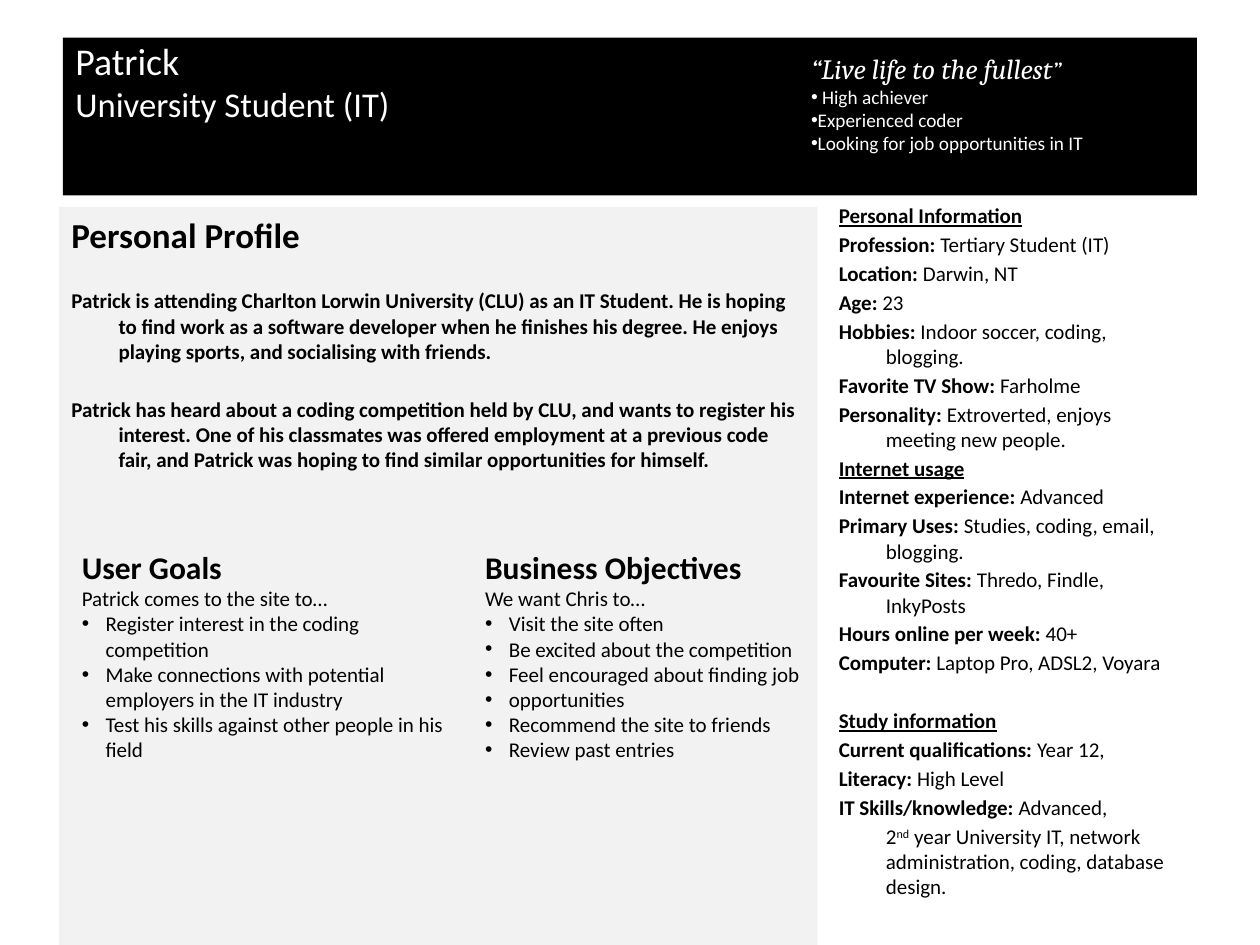
from dataclasses import dataclass

from lxml import etree
from pptx import Presentation
from pptx.dml.color import RGBColor
from pptx.enum.shapes import MSO_SHAPE
from pptx.enum.text import MSO_ANCHOR, MSO_AUTO_SIZE, PP_ALIGN
from pptx.oxml.ns import qn
from pptx.util import Cm, Pt

RECTANGLE = MSO_SHAPE.RECTANGLE
TOP = MSO_ANCHOR.TOP
LEFT = PP_ALIGN.LEFT
FIT_SHAPE = MSO_AUTO_SIZE.SHAPE_TO_FIT_TEXT


@dataclass(frozen=True)
class Theme:
    black: RGBColor = RGBColor(0x00, 0x00, 0x00)
    white: RGBColor = RGBColor(0xFF, 0xFF, 0xFF)
    panel: RGBColor = RGBColor(0xF2, 0xF2, 0xF2)
    font: str = "Calibri"
    quote_font: str = "Cambria"
    name: float = 21.6
    role: float = 19.8
    profile: float = 20
    heading: float = 18
    quote: float = 16
    quote_end: float = 14
    body: float = 12
    trait: float = 11
    gap: float = 2.1
    section_gap: float = 18.8


THEME = Theme()
HANGING = Cm(0.95)
BULLET_INDENT = Cm(0.48)

PROFILE = (
    "Patrick is attending Charlton Lorwin University (CLU) as an IT Student. "
    "He is hoping to find work as a software developer when he finishes his "
    "degree. He enjoys playing sports, and socialising with friends.",
    "Patrick has heard about a coding competition held by CLU, and wants to "
    "register his interest. One of his classmates was offered employment at a "
    "previous code fair, and Patrick was hoping to find similar opportunities "
    "for himself.",
)
# Title, space before it, labelled facts
SECTIONS = (
    ("Personal Information", 0, (
        ("Profession: ", "Tertiary Student (IT)"),
        ("Location: ", "Darwin, NT"),
        ("Age: ", "23"),
        ("Hobbies: ", "Indoor soccer, coding, blogging."),
        ("Favorite TV Show: ", "Farholme"),
        ("Personality: ", "Extroverted, enjoys meeting new people."),
    )),
    ("Internet usage", THEME.gap, (
        ("Internet experience: ", "Advanced"),
        ("Primary Uses: ", "Studies, coding, email, blogging."),
        ("Favourite Sites: ", "Thredo, Findle, InkyPosts"),
        ("Hours online per week: ", "40+"),
        ("Computer: ", "Laptop Pro, ADSL2, Voyara"),
    )),
    ("Study information", THEME.section_gap, (
        ("Current qualifications: ", "Year 12,"),
        ("Literacy: ", "High Level"),
        ("IT Skills/knowledge: ", "Advanced,"),
    )),
)
TRAITS = (" High achiever", "Experienced coder",
          "Looking for job opportunities in IT")
# Left edge, height, heading, lead-in, bullets
AIMS = (
    (1.4, 5.13, "User Goals", "Patrick comes to the site to…", (
        "Register interest in the coding competition",
        "Make connections with potential employers in the IT industry",
        "Test his skills against other people in his field",
    )),
    (9.53, 4.62, "Business Objectives", "We want Chris to…", (
        "Visit the site often",
        "Be excited about the competition",
        "Feel encouraged about finding job",
        "opportunities",
        "Recommend the site to friends",
        "Review past entries",
    )),
)


def prepare_frame(box):
    frame = box.text_frame
    frame.word_wrap = True
    frame.vertical_anchor = TOP
    return frame


def add_panel(page, left, top, width, height, color):
    box = page.shapes.add_shape(RECTANGLE, Cm(left), Cm(top), Cm(width), Cm(height))
    box.shadow.inherit = False
    box.fill.solid()
    box.fill.fore_color.rgb = color
    box.line.fill.background()
    return prepare_frame(box)


def add_text(page, left, top, width, height):
    box = page.shapes.add_textbox(Cm(left), Cm(top), Cm(width), Cm(height))
    return prepare_frame(box)


def add_para(frame, before=0, margin=0, indent=0, bullet=False):
    first = frame.paragraphs[0]
    para = frame.add_paragraph() if first.runs else first
    para.alignment = LEFT
    para.space_before = Pt(before)
    props = para._p.get_or_add_pPr()
    props.set("marL", str(margin))
    props.set("indent", str(indent))
    if bullet:
        etree.SubElement(props, qn("a:buFont")).set("typeface", "Arial")
        etree.SubElement(props, qn("a:buChar")).set("char", "•")
    return para


def add_hanging(frame, before=THEME.gap):
    return add_para(frame, before, HANGING, -HANGING)


def add_span(para, text, size=THEME.body, color=THEME.black, font=THEME.font,
             bold=False, italic=False, underline=False, raised=False):
    span = para.add_run()
    span.text = text
    style = span.font
    style.name, style.size, style.color.rgb = font, Pt(size), color
    style.bold, style.italic, style.underline = bold, italic, underline
    if raised:
        span._r.get_or_add_rPr().set("baseline", "30000")


def draw_banner(page):
    frame = add_panel(page, 1.27, 0.76, 22.86, 3.18, THEME.black)
    frame.margin_top = 0
    for text, size in (("Patrick", THEME.name), ("University Student (IT)", THEME.role)):
        add_span(add_para(frame), text, size, THEME.white)


def draw_profile(page):
    frame = add_panel(page, 1.19, 4.17, 15.29, 14.88, THEME.panel)
    add_span(add_hanging(frame, 0), "Personal Profile", THEME.profile, bold=True)
    for text in PROFILE:
        add_span(add_hanging(frame, THEME.section_gap), text, bold=True)


def draw_sidebar(page):
    frame = add_text(page, 16.66, 3.96, 7.47, 15.09)
    for title, before, facts in SECTIONS:
        add_span(add_hanging(frame, before), title, bold=True, underline=True)
        for label, value in facts:
            para = add_hanging(frame)
            add_span(para, label, bold=True)
            add_span(para, value)
    # Continuation of the last fact
    para = add_para(frame, THEME.gap, HANGING)
    add_span(para, "2")
    add_span(para, "nd", raised=True)
    add_span(para, " year University IT, network administration, coding, database design.")


def draw_quote(page):
    frame = add_text(page, 16.1, 0.91, 8.13, 2.36)
    frame.auto_size = FIT_SHAPE
    para = add_para(frame)
    for text, size in (("“Live life to the fullest", THEME.quote), ("”", THEME.quote_end)):
        add_span(para, text, size, THEME.white, THEME.quote_font, italic=True)
    for trait in TRAITS:
        add_span(add_para(frame, bullet=True), trait, THEME.trait, THEME.white)


def draw_aims(page, left, height, heading, lead, items):
    frame = add_text(page, left, 10.92, 8.13, height)
    frame.auto_size = FIT_SHAPE
    add_span(add_para(frame), heading, THEME.heading, bold=True)
    add_span(add_para(frame), lead)
    for item in items:
        para = add_para(frame, 0, BULLET_INDENT, -BULLET_INDENT, bullet=True)
        add_span(para, item)


def main():
    deck = Presentation()
    deck.slide_width, deck.slide_height = Cm(25.4), Cm(19.05)
    page = deck.slides.add_slide(deck.slide_layouts[6])
    draw_banner(page)
    draw_profile(page)
    draw_sidebar(page)
    draw_quote(page)
    for aims in AIMS:
        draw_aims(page, *aims)
    deck.save("out.pptx")


main()
